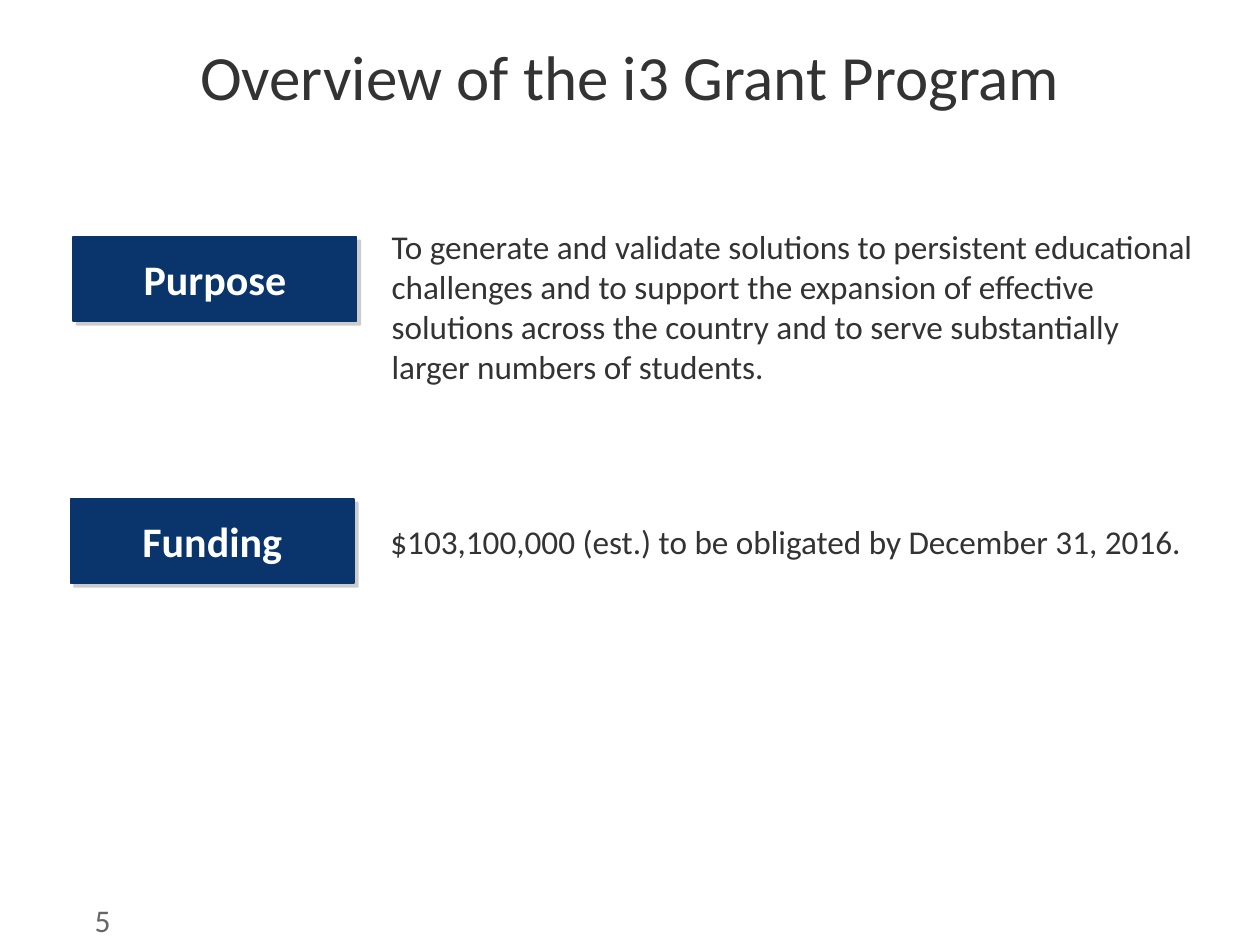
from lxml.etree import SubElement
from pptx import Presentation
from pptx.dml.color import RGBColor
from pptx.enum.shapes import MSO_SHAPE
from pptx.enum.text import MSO_ANCHOR, PP_ALIGN
from pptx.oxml.ns import qn
from pptx.util import Pt

# Content: label with its box, then detail with its box (left, top, width, height)
TITLE = "Overview of the i3 Grant Program"
NUMBER = "5"
ROWS = [
    ("Purpose", (41.8, 135.4, 162, 48.2),
     "To generate and validate solutions to persistent educational challenges "
     "and to support the expansion of effective solutions across the country "
     "and to serve substantially larger numbers of students.",
     (216.7, 126, 473.8, 159), MSO_ANCHOR.TOP),
    ("Funding", (40.3, 285.1, 162, 48.2),
     "$103,100,000 (est.) to be obligated by December 31, 2016.",
     (216, 288.7, 473.8, 41), MSO_ANCHOR.MIDDLE),
]

THEME = {
    "font": "Calibri",
    "ink": "333333", "muted": "666666", "navy": "09356C",
    "white": "FFFFFF", "shade": "808080",
    "title": 36, "label": 24, "body": 19, "page": 18,
}


def color(name):
    return RGBColor.from_string(THEME[name])


def write(shape, text, size, ink, align=PP_ALIGN.LEFT,
          anchor=MSO_ANCHOR.TOP, bold=False, inset=7.2):
    frame = shape.text_frame
    frame.word_wrap = True
    frame.vertical_anchor = anchor
    frame.margin_left = frame.margin_right = Pt(inset)
    frame.margin_top = frame.margin_bottom = Pt(3.6)
    para = frame.paragraphs[0]
    para.text = text
    para.alignment = align
    font = para.font
    font.name = THEME["font"]
    font.size = Pt(THEME[size])
    font.bold = bold
    font.color.rgb = color(ink)


def add_text(slide, box, text, size, ink, **style):
    shape = slide.shapes.add_textbox(*map(Pt, box))
    write(shape, text, size, ink, **style)


def add_label(slide, box, text):
    shape = slide.shapes.add_shape(MSO_SHAPE.RECTANGLE, *map(Pt, box))
    shape.fill.solid()
    shape.fill.fore_color.rgb = color("navy")
    shape.line.color.rgb = color("navy")
    shape.line.width = Pt(1)
    # Hard shadow, 3 pt down and to the right
    shape.shadow.inherit = False
    effects = shape.fill._xPr.find(qn("a:effectLst"))
    outer = SubElement(effects, qn("a:outerShdw"), blurRad="0",
                       dist=str(Pt(3)), dir="2700000", algn="ctr",
                       rotWithShape="0")
    tint = SubElement(outer, qn("a:srgbClr"), val=THEME["shade"])
    SubElement(tint, qn("a:alpha"), val="40000")
    write(shape, text, "label", "white", align=PP_ALIGN.CENTER,
          anchor=MSO_ANCHOR.MIDDLE, bold=True)


def main():
    deck = Presentation()
    deck.slide_width, deck.slide_height = Pt(720), Pt(540)
    slide = deck.slides.add_slide(deck.slide_layouts[6])

    # Title and page number
    add_text(slide, (36, 18, 648, 44.6), TITLE, "title", "ink",
             align=PP_ALIGN.CENTER)
    add_text(slide, (54, 511.2, 41.8, 28.8), NUMBER, "page", "muted", inset=0)

    # Labelled rows
    for label, label_box, detail, detail_box, anchor in ROWS:
        add_label(slide, label_box, label)
        add_text(slide, detail_box, detail, "body", "ink", anchor=anchor)

    deck.save("out.pptx")


if __name__ == "__main__":
    main()
